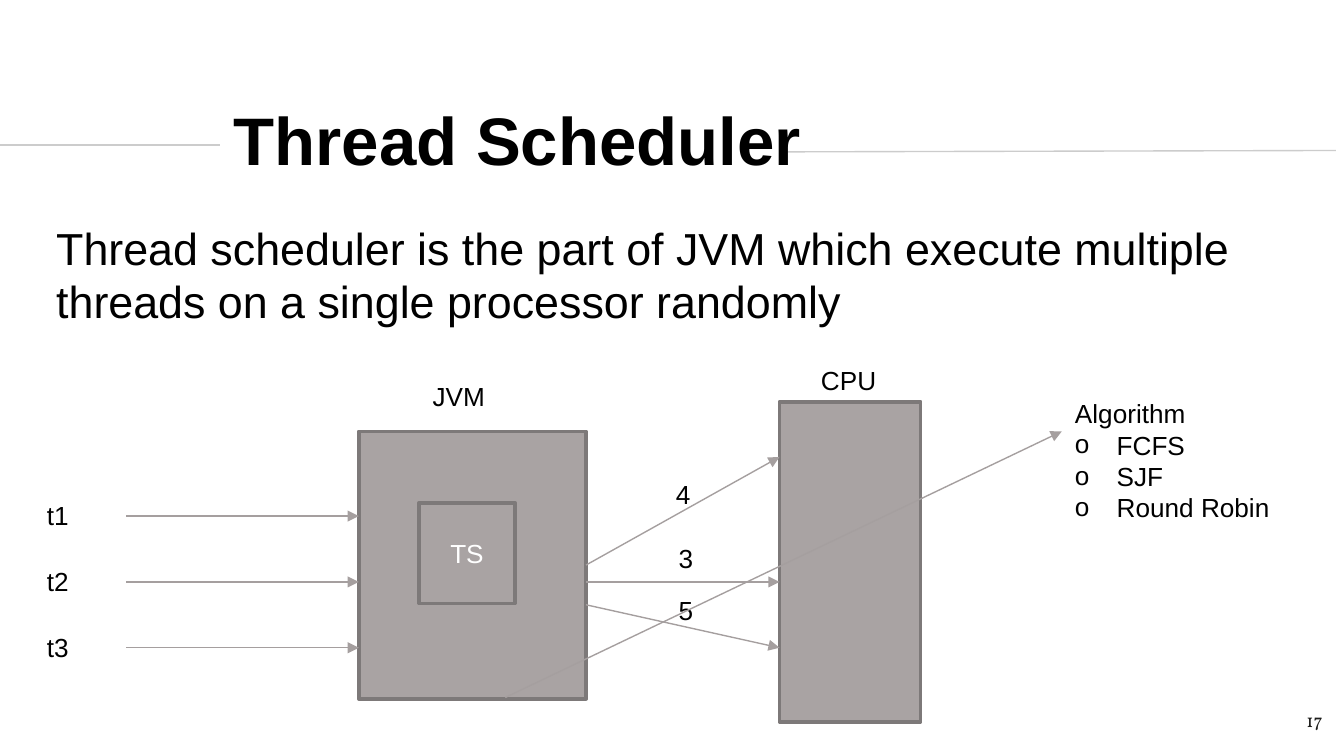
import pptx
import pptx.dml.color
import pptx.enum.shapes
import pptx.enum.text
import pptx.oxml
import pptx.oxml.ns
import pptx.util
from dataclasses import dataclass
from pptx.util import Inches


@dataclass(frozen=True)
class Theme:
    font: str = "Arial"
    number_font: str = "Vollkorn"
    text: str = "000000"
    number: str = "1D1D1B"
    light: str = "FFFFFF"
    block: str = "A9A3A3"
    border: str = "7D7979"
    arrow: str = "A59F9F"
    rule: str = "CCCCCC"
    title_size: int = 36
    body_size: int = 24
    label_size: int = 14
    number_size: int = 10


theme = Theme()
rgb = pptx.dml.color.RGBColor.from_string
namespace = pptx.oxml.ns.nsdecls("a")
middle = pptx.enum.text.MSO_ANCHOR.MIDDLE
align = pptx.enum.text.PP_ALIGN

deck = pptx.Presentation()
deck.slide_width = Inches(10)
deck.slide_height = deck.slide_width * 9 // 16
page = deck.slides.add_slide(deck.slide_layouts[6])


def add_text(text, left, top, width, height, size=theme.label_size,
             color=theme.text, font=theme.font):
    box = page.shapes.add_textbox(Inches(left), Inches(top), Inches(width), Inches(height))
    box.text_frame.word_wrap = True
    box.text_frame.text = text
    for para in box.text_frame.paragraphs:
        for span in para.runs:
            span.font.size = pptx.util.Pt(size)
            span.font.name = font
            span.font.color.rgb = rgb(color)
    return box


def add_line(start, end, color=theme.arrow, arrow=True):
    line = page.shapes.add_connector(
        pptx.enum.shapes.MSO_CONNECTOR.STRAIGHT, *[Inches(n) for n in (*start, *end)])
    line.line.color.rgb = rgb(color)
    line.line.width = pptx.util.Pt(0.75)
    properties = line._element.spPr
    if arrow:
        tail = pptx.oxml.parse_xml(f'<a:tailEnd {namespace} type="triangle"/>')
        properties.find(pptx.oxml.ns.qn("a:ln")).append(tail)
    properties.append(pptx.oxml.parse_xml(f"<a:effectLst {namespace}/>"))
    return line


# Heading, page number and description
add_line((0, 1.08), (1.64, 1.08), theme.rule, arrow=False)
add_line((5.86, 1.13), (9.94, 1.12), theme.rule, arrow=False)

number = add_text("17", 9.34, 5.19, 0.6, 0.43, theme.number_size, theme.number,
                  theme.number_font)
number.text_frame.margin_top = number.text_frame.margin_bottom = Inches(0.1)
number.text_frame.paragraphs[0].alignment = align.RIGHT

title = add_text("Thread Scheduler", 1.64, 0.79, 5.09, 0.48, theme.title_size)
title.text_frame.margin_top = title.text_frame.margin_bottom = Inches(0.1)
title.text_frame.vertical_anchor = middle
title.text_frame.paragraphs[0].runs[0].font.bold = True

add_text("Thread scheduler is the part of JVM which execute multiple threads "
         "on a single processor randomly", 0.32, 1.59, 9.47, 0.91, theme.body_size)

# Blocks
blocks = {}
for name, left, top, width, height in (
    ("JVM", 2.67, 3.21, 1.69, 1.99),
    ("TS", 3.12, 3.74, 0.71, 0.75),
    ("CPU", 5.8, 2.99, 1.05, 2.38),
):
    block = page.shapes.add_shape(pptx.enum.shapes.MSO_SHAPE.RECTANGLE, Inches(left),
                                  Inches(top), Inches(width), Inches(height))
    block.shadow.inherit = False
    block.fill.solid()
    block.fill.fore_color.rgb = rgb(theme.block)
    block.line.color.rgb = rgb(theme.border)
    block.line.width = pptx.util.Pt(2)
    blocks[name] = block

scheduler = blocks["TS"].text_frame
scheduler.text = "TS"
scheduler.vertical_anchor = middle
scheduler.paragraphs[0].alignment = align.CENTER
scheduler_font = scheduler.paragraphs[0].runs[0].font
scheduler_font.name = theme.font
scheduler_font.size = pptx.util.Pt(theme.label_size)
scheduler_font.color.rgb = rgb(theme.light)

add_text("JVM", 3.12, 2.78, 0.64, 0.34)
add_text("CPU", 6.01, 2.66, 0.64, 0.34)

# Threads entering the JVM
for index in range(3):
    top = 3.67 + 0.49 * index
    thread = add_text(f"t{index + 1}", 0.25, top, 0.69, 0.34)
    entry = add_line((0.94, top + 0.17), (2.67, top + 0.17))
    entry.begin_connect(thread, 3)

# Threads leaving for the CPU
first = add_line((4.36, 4.2), (5.8, 3.4))
first.begin_connect(blocks["JVM"], 3)
add_line((4.36, 4.33), (5.8, 4.33))
add_line((4.36, 4.5), (5.8, 4.82))
for text, left, top in (("5", 4.95, 4.37), ("3", 4.95, 3.99), ("4", 4.93, 3.51)):
    add_text(text, left, top, 0.69, 0.34)

# Scheduling algorithms
algorithms = add_text("Algorithm\nFCFS\nSJF\nRound Robin", 7.9, 2.91, 2.52, 1.28)
for para in algorithms.text_frame.paragraphs[1:]:
    properties = para._p.get_or_add_pPr()
    properties.set("marL", str(Inches(0.31)))
    properties.set("indent", str(Inches(-0.31)))
    for bullet in (
        f'<a:buClr {namespace}><a:srgbClr val="{theme.text}"/></a:buClr>',
        f'<a:buFont {namespace} typeface="{theme.font}"/>',
        f'<a:buChar {namespace} char="o"/>',
    ):
        properties.append(pptx.oxml.parse_xml(bullet))
add_line((3.76, 5.19), (7.9, 3.21))

deck.save("out.pptx")
